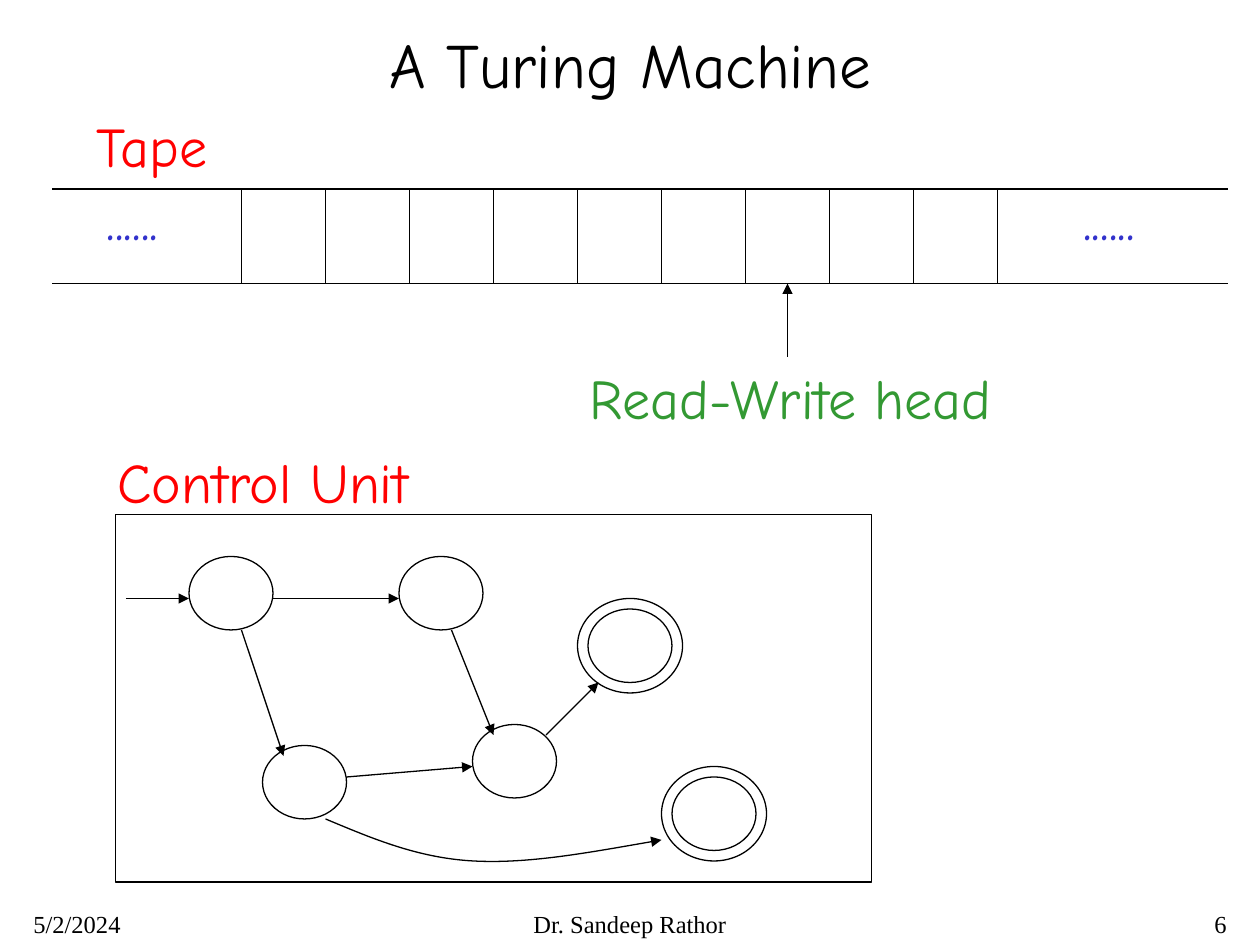
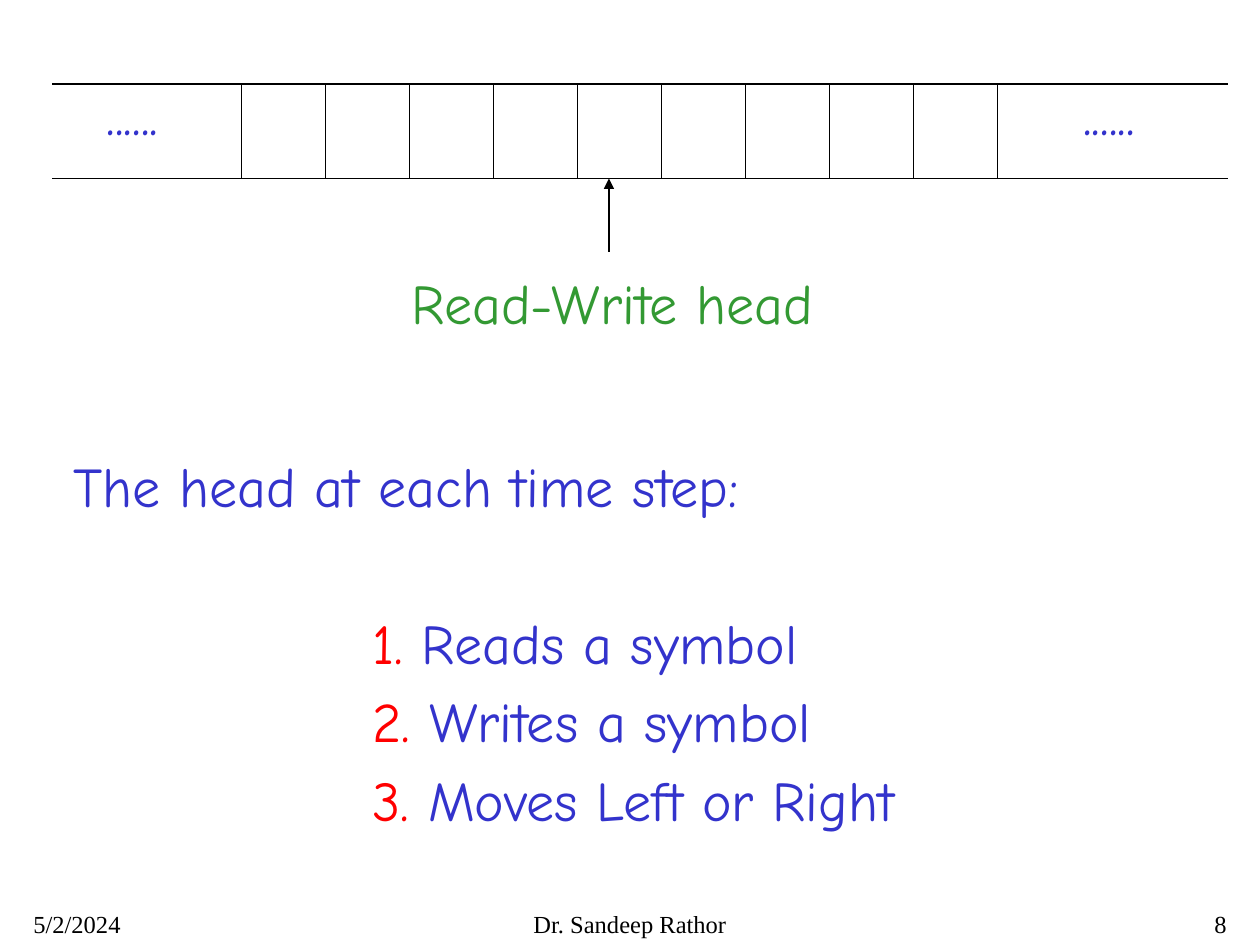
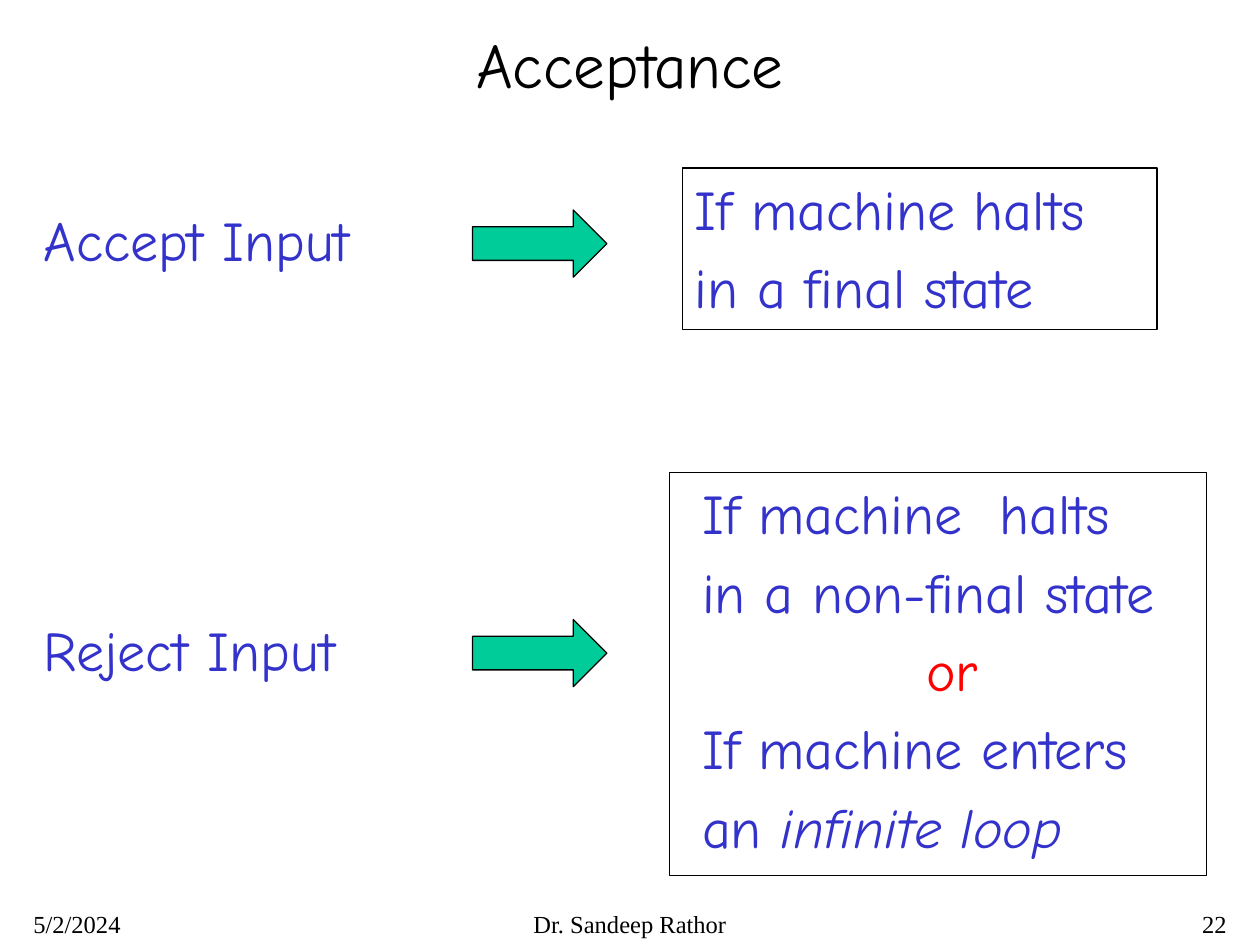
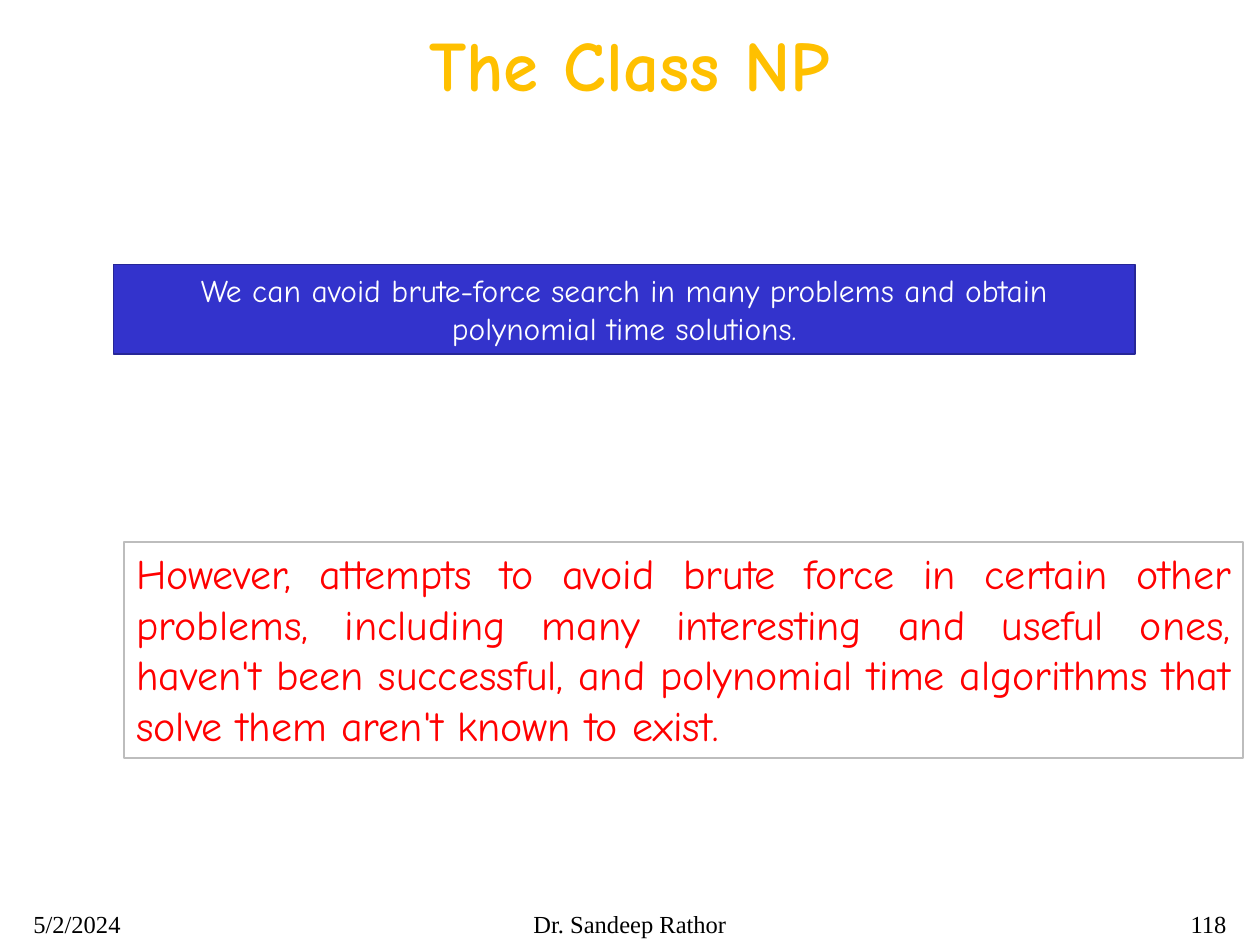
import dataclasses

import lxml.etree
import pptx
import pptx.dml.color
import pptx.enum.shapes
import pptx.enum.text
import pptx.oxml.ns
import pptx.util

SHAPES = pptx.enum.shapes.MSO_SHAPE
ALIGN = pptx.enum.text.PP_ALIGN
ANCHOR = pptx.enum.text.MSO_ANCHOR
qn = pptx.oxml.ns.qn


@dataclasses.dataclass(frozen=True)
class Theme:
    black: str = "000000"
    white: str = "FFFFFF"
    blue: str = "3333CC"
    dark_blue: str = "262697"
    red: str = "FF0000"
    green: str = "339933"
    teal: str = "00CC99"
    gold: str = "FFC000"
    grey: str = "BDBDBD"
    font: str = "Comic Neue"
    footer_font: str = "Times New Roman"
    title_size: float = 36
    strong_title_size: float = 40.5
    body_size: float = 32
    note_size: float = 24
    banner_size: float = 18
    footer_size: float = 14
    hairline: float = 0.75


THEME = Theme()


@dataclasses.dataclass(frozen=True)
class Span:
    text: str
    colour: str = THEME.blue
    italic: bool = False
    bold: bool = False


@dataclasses.dataclass(frozen=True)
class Para:
    """A line of spans; indent is in cm, extra_lines widens the gap above."""
    spans: tuple
    indent: float = 0
    extra_lines: int = 0


def grid(steps):
    """Length of some grid steps; the slide is 120 by 90 steps."""
    return pptx.util.Cm(25.4 * steps / 120)


def rgb(colour):
    return pptx.dml.color.RGBColor.from_string(colour)


def line(text, colour=THEME.blue, **style):
    return Para((Span(text, colour, **style),))


def write(box, paras, size=THEME.body_size, font=THEME.font,
          align=ALIGN.LEFT, anchor=ANCHOR.TOP):
    frame = box.text_frame
    frame.word_wrap = True
    frame.vertical_anchor = anchor
    for index, item in enumerate(paras):
        para = frame.add_paragraph() if index else frame.paragraphs[0]
        para.alignment = align
        if index:
            gap = 0.2 + 1.4 * item.extra_lines
            para.space_before = pptx.util.Pt(round(gap * size, 1))
        if item.indent:
            properties = para._p.get_or_add_pPr()
            properties.set("marL", str(pptx.util.Cm(item.indent)))
            properties.set("indent", "0")
        for part in item.spans:
            span = para.add_run()
            span.text = part.text
            span.font.name = font
            span.font.size = pptx.util.Pt(size)
            span.font.color.rgb = rgb(part.colour)
            span.font.italic = part.italic
            span.font.bold = part.bold


def add_text(page, left, top, width, height, paras, **style):
    box = page.shapes.add_textbox(*map(grid, (left, top, width, height)))
    write(box, paras, **style)


def paint(shape, fill=None, stroke=THEME.black, weight=THEME.hairline):
    shape.shadow.inherit = False
    if fill:
        shape.fill.solid()
        shape.fill.fore_color.rgb = rgb(fill)
    else:
        shape.fill.background()
    shape.line.color.rgb = rgb(stroke)
    shape.line.width = pptx.util.Pt(weight)


def add_shape(page, kind, left, top, width, height, **look):
    shape = page.shapes.add_shape(kind, *map(grid, (left, top, width, height)))
    paint(shape, **look)
    return shape


def add_arrowhead(shape):
    outline = shape.line._get_or_add_ln()
    lxml.etree.SubElement(outline, qn("a:tailEnd"), type="triangle")


def add_line(page, start, end, arrow=False):
    connector = page.shapes.add_connector(
        pptx.enum.shapes.MSO_CONNECTOR.STRAIGHT, *map(grid, start + end))
    connector.line.color.rgb = rgb(THEME.black)
    connector.line.width = pptx.util.Pt(THEME.hairline)
    lxml.etree.SubElement(connector._element.spPr, qn("a:effectLst"))
    if arrow:
        add_arrowhead(connector)


def add_curved_arrow(page, start, controls):
    """Arrow of Bezier pieces; each three control points make one piece."""
    builder = page.shapes.build_freeform(*map(grid, start))
    builder.add_line_segments(
        [tuple(map(grid, point)) for point in controls], close=False)
    curve = builder.convert_to_shape()
    segments = list(curve._element.iter(qn("a:lnTo")))
    for first in range(0, len(segments), 3):
        piece = segments[first:first + 3]
        bezier = lxml.etree.Element(qn("a:cubicBezTo"))
        piece[0].addprevious(bezier)
        for segment in piece:
            bezier.append(segment[0])
            segment.getparent().remove(segment)
    paint(curve)
    add_arrowhead(curve)


def add_page(deck, number, title=None, colour=THEME.black,
             size=THEME.title_size, bold=False):
    page = deck.slides.add_slide(deck.slide_layouts[6])
    if title:
        add_text(page, 2, 2, 116, 8, [line(title, colour, bold=bold)],
                 size=size, align=ALIGN.CENTER, anchor=ANCHOR.MIDDLE)
    footers = (
        (2, 25, "5/2/2024", ALIGN.LEFT),
        (41, 38, "Dr. Sandeep Rathor", ALIGN.CENTER),
        (93, 25, str(number), ALIGN.RIGHT),
    )
    for left, width, text, align in footers:
        add_text(page, left, 86, width, 4, [line(text, THEME.black)],
                 size=THEME.footer_size, font=THEME.footer_font, align=align)
    return page


def add_label(page, left, top, width, text, colour=THEME.blue):
    add_text(page, left, top, width, 7.5, [line(text, colour)])


def add_tape(page, top, head_x, label_x, label_y):
    """Endless tape with nine cells and the head pointing at it."""
    bottom = top + 9
    for y in (top, bottom):
        add_line(page, (5, y), (117, y))
    for divider in range(10):
        x = 23 + 8 * divider
        add_line(page, (x, top), (x, bottom))
    for x in (9, 102):
        add_label(page, x, top - 1, 10.4, "......")
    add_line(page, (head_x, bottom + 7), (head_x, bottom), arrow=True)
    add_label(page, label_x, label_y, 45.2, "Read-Write head", THEME.green)


def add_state(page, left, top, accepting=False):
    add_shape(page, SHAPES.OVAL, left, top, 8, 7)
    if accepting:
        add_shape(page, SHAPES.OVAL, left - 1, top - 1, 10, 9)


def add_control_unit(page):
    add_label(page, 10, 42, 34.6, "Control Unit", THEME.red)
    add_shape(page, SHAPES.RECTANGLE, 11, 49, 72, 35)
    for left, top in ((18, 53), (38, 53), (45, 69), (25, 71)):
        add_state(page, left, top)
    for left, top in ((56, 58), (64, 74)):
        add_state(page, left, top, accepting=True)
    transitions = (
        ((12, 57), (18, 57)),
        ((26, 57), (38, 57)),
        ((43, 60), (47, 70)),
        ((52, 70), (57, 65)),
        ((23, 60), (27, 72)),
        ((33, 74), (45, 73)),
    )
    for start, end in transitions:
        add_line(page, start, end, arrow=True)
    add_curved_arrow(page, (31, 78), (
        (35.3, 79.8), (39.7, 81.7), (45, 82),
        (50.3, 82.3), (56.6, 81.1), (63, 80)))


def add_rule(page, middle, outcome, width, box, condition):
    """An outcome, a block arrow and the boxed condition for it."""
    add_label(page, 3, middle - 4.2, width, outcome)
    arrow = add_shape(page, SHAPES.RIGHT_ARROW, 45, middle - 3.2, 12.8, 6.4,
                      fill=THEME.teal)
    arrow.adjustments[1] = 0.5
    write(add_shape(page, SHAPES.RECTANGLE, *box), condition)


def build_machine(deck):
    page = add_page(deck, 6, "A Turing Machine")
    add_label(page, 8, 10, 14.5, "Tape", THEME.red)
    add_tape(page, 18, head_x=75, label_x=55, label_y=34)
    add_control_unit(page)


def build_head_steps(deck):
    page = add_page(deck, 8)
    add_tape(page, 8, head_x=58, label_x=38, label_y=25)
    steps = ("Reads a symbol", "Writes a symbol", "Moves Left or Right")
    paras = [line("The head at each time step:")]
    for number, step in enumerate(steps, 1):
        spans = (Span(f"{number}.", THEME.red), Span(f" {step}"))
        paras.append(Para(spans, indent=6.03, extra_lines=int(number == 1)))
    add_text(page, 5.8, 42.4, 84.5, 38.3, paras)


def build_acceptance(deck):
    page = add_page(deck, 22, "Acceptance")
    add_rule(page, 23.2, "Accept Input", 35.5, (65, 16, 45.2, 15.4),
             [line("If machine halts"), line("in a final state")])
    inset = 0.4
    add_rule(page, 62.2, "Reject Input", 34.4, (63.8, 45, 51.1, 38.4), [
        Para((Span("If machine  halts"),), inset),
        Para((Span("in a non-final state"),), inset),
        Para((Span("or", THEME.red),), 4.92),
        Para((Span("If machine enters"),), inset),
        Para((Span("an "), Span("infinite loop", italic=True)), inset),
    ])


def build_class_np(deck):
    page = add_page(deck, 118, "The Class NP", THEME.gold,
                    THEME.strong_title_size, bold=True)
    banner = add_shape(page, SHAPES.RECTANGLE, 10.8, 25.2, 97.3, 8.5,
                       fill=THEME.blue, stroke=THEME.dark_blue, weight=1)
    write(banner, [line(
        "We can avoid brute-force search in many problems and obtain "
        "polynomial time solutions.", THEME.white)],
        size=THEME.banner_size, align=ALIGN.CENTER)
    note = add_shape(page, SHAPES.RECTANGLE, 11.8, 51.6, 106.6, 20.6,
                     fill=THEME.white, stroke=THEME.grey, weight=1)
    write(note, [line(
        "However, attempts to avoid brute force in certain other problems, "
        "including many interesting and useful ones, haven't been "
        "successful, and polynomial time algorithms that solve them aren't "
        "known to exist.", THEME.red)],
        size=THEME.note_size, align=ALIGN.JUSTIFY)


def main():
    deck = pptx.Presentation()
    deck.slide_width = grid(120)
    deck.slide_height = grid(90)
    build_machine(deck)
    build_head_steps(deck)
    build_acceptance(deck)
    build_class_np(deck)
    deck.save("out.pptx")


if __name__ == "__main__":
    main()
